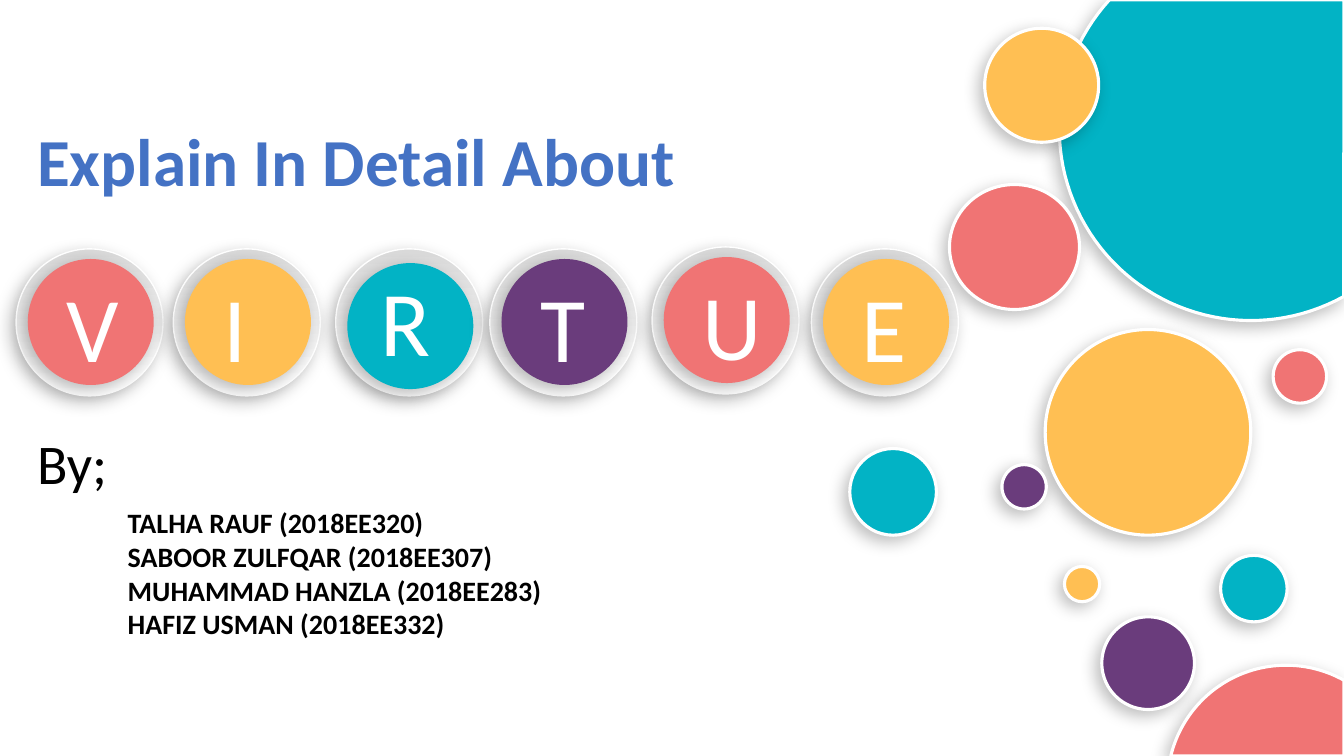
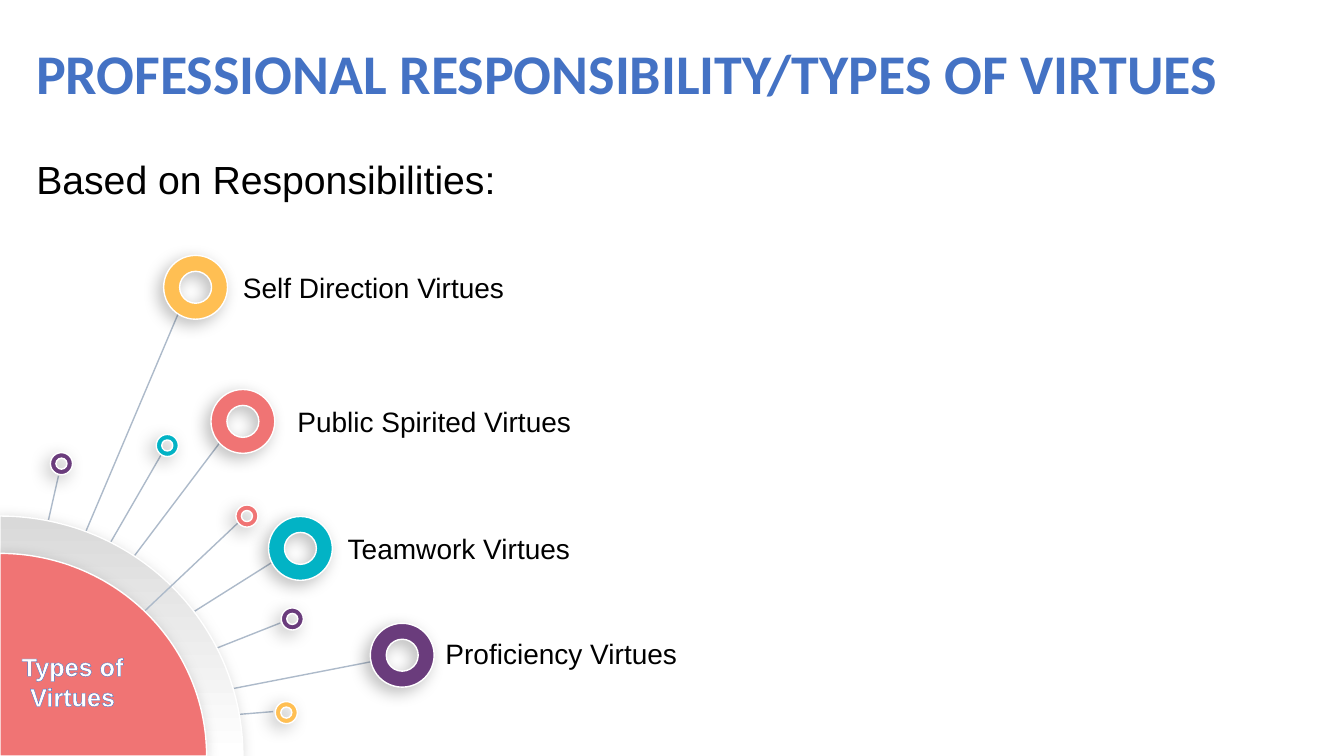
import copy
import math

import lxml.etree
import pptx
import pptx.dml.color
import pptx.enum.shapes
import pptx.enum.text
import pptx.oxml
import pptx.oxml.ns
import pptx.util

Pt = pptx.util.Pt
qn = pptx.oxml.ns.qn
ELLIPSE = pptx.enum.shapes.MSO_SHAPE.OVAL
DONUT = pptx.enum.shapes.MSO_SHAPE.DONUT
STRAIGHT = pptx.enum.shapes.MSO_CONNECTOR.STRAIGHT

WIDTH, HEIGHT = 960, 540
WHITE, BLACK, BLUE, SPOKE = "FFFFFF", "000000", "4472C4", "ADBACA"
AMBER, TEAL, CORAL, PURPLE = "FFBF53", "02B3C5", "F07474", "6A3C7C"
SILVER = (WHITE, "D9D9D9")
TITLE = {"name": "Calibri", "bold": True}
TITLE_COLOURS = ("203864", BLUE, "8FAADC")
SHADOW = (
    '<a:outerShdw xmlns:a="http://schemas.openxmlformats.org/drawingml/2006/main" '
    'blurRad="152400" dist="63500" dir="8100000" algn="tr" rotWithShape="0">'
    '<a:srgbClr val="000000"><a:alpha val="26000"/></a:srgbClr></a:outerShdw>'
)


def paint(fill, colours, angle=90):
    """Fill with one hex colour, or with an even gradient of several."""
    if isinstance(colours, str):
        fill.solid()
        fill.fore_color.rgb = pptx.dml.color.RGBColor.from_string(colours)
        return
    fill.gradient()
    fill.gradient_angle = angle
    first = fill.gradient_stops[0]._gs
    for _ in colours[2:]:
        first.addnext(copy.deepcopy(first))
    for index, stop in enumerate(fill.gradient_stops):
        stop.color.rgb = pptx.dml.color.RGBColor.from_string(colours[index])
        stop.position = index / (len(colours) - 1)


def draw(shapes, outline, box, colours, line_width):
    """Draw a shadowed preset, or a sector (start, end, corner) of the box's ellipse."""
    if isinstance(outline, tuple):
        start, end, corner = outline
        left, top, width, height = box
        points = []
        for step in range(61):
            angle = math.radians(start + (end - start) * step / 60)
            points.append((Pt(left + width / 2 * (1 + math.cos(angle))),
                           Pt(top + height / 2 * (1 + math.sin(angle)))))
        points.append((Pt(corner[0]), Pt(corner[1])))
        builder = shapes.build_freeform(*points[0], scale=1.0)
        builder.add_line_segments(points[1:], close=True)
        shape = builder.convert_to_shape()
    else:
        shape = shapes.add_shape(outline, *map(Pt, box))
    paint(shape.fill, colours)
    if line_width:
        paint(shape.line.fill, WHITE)
        shape.line.width = Pt(line_width)
    else:
        shape.line.fill.background()
    shape.shadow.inherit = False
    effects = shape._element.spPr.find(qn("a:effectLst"))
    effects.append(pptx.oxml.parse_xml(SHADOW))


def write(shapes, box, lines, colours, font, inset=True, paragraph=None):
    """Add a wrapping text box with one paragraph per line; return its frame."""
    frame = shapes.add_textbox(*map(Pt, box)).text_frame
    frame.word_wrap = True
    frame.auto_size = pptx.enum.text.MSO_AUTO_SIZE.SHAPE_TO_FIT_TEXT
    if not inset:
        for side in ("left", "top", "right", "bottom"):
            setattr(frame, "margin_" + side, 0)
    for index, line in enumerate(lines):
        para = frame.add_paragraph() if index else frame.paragraphs[0]
        for key, value in (paragraph or {}).items():
            setattr(para, key, value)
        span = para.add_run()
        span.text = line
        for key, value in font.items():
            setattr(span.font, key, value)
        paint(span.font.fill, colours, angle=270)
    return frame


deck = pptx.Presentation()
deck.slide_width, deck.slide_height = Pt(WIDTH), Pt(HEIGHT)
blank = deck.slide_layouts[6]

# Cover
page = deck.slides.add_slide(blank)
bubbles = [
    (ELLIPSE, (746.6, 235.4, 146.9, 146.9), AMBER),
    ((61, 222.4, (WIDTH, 0)), (756.7, -44.6, 273.6, 273.6), TEAL),
    (ELLIPSE, (678.2, 131.8, 92.9, 89.3), CORAL),
    (ELLIPSE, (787, 440.6, 66.2, 66.2), PURPLE),
    (ELLIPSE, (871.9, 396.7, 47.5, 47.5), TEAL),
    ((193.6, 299.1, (WIDTH, HEIGHT)), (833.9, 475.2, 169.6, 169.6), CORAL),
    (ELLIPSE, (703.4, 20.2, 81.4, 81.4), AMBER),
    (ELLIPSE, (909.4, 249.8, 38.2, 38.2), CORAL),
    (ELLIPSE, (760.3, 404.6, 25.2, 25.2), AMBER),
    (ELLIPSE, (607, 320.4, 61.9, 61.9), TEAL),
    (ELLIPSE, (715.7, 331.9, 31.7, 31.7), PURPLE),
]
for outline, box, colour in bubbles:
    draw(page.shapes, outline, box, colour, 2.25)

# letter, left and top of the badge, disc drop, letter offset, colour
badges = [
    ("V", 11.5, 177.8, 7.2, (28.8, 11.5), CORAL),
    ("I", 123.8, 177.8, 7.2, (28.8, 11.5), AMBER),
    ("R", 239.8, 177.8, 10.1, (25.2, 7.2), TEAL),
    ("T", 349.9, 177.8, 7.2, (28.8, 11.5), PURPLE),
    ("U", 465.8, 176.4, 7.2, (28.8, 11.5), CORAL),
    ("E", 579.6, 177.8, 7.2, (28.8, 11.5), AMBER),
]
for letter, left, top, drop, (across, down), colour in badges:
    badge = page.shapes.add_group_shape()
    draw(badge.shapes, ELLIPSE, (left, top, 105, 105), SILVER, 1)
    draw(badge.shapes, ELLIPSE, (left + 8.3, top + drop, 90, 90), colour, 0)
    write(badge.shapes, (left + across, top + down, 55.4, 87.1), [letter], WHITE,
          {"name": "Calibri", "size": Pt(66)})

write(page.shapes, (19.4, 302.4, 69.1, 55.4), ["By;"], BLACK,
      {"name": "Calibri", "size": Pt(40)})
authors = ["TALHA RAUF (2018EE320)", "SABOOR ZULFQAR (2018EE307)",
           "MUHAMMAD HANZLA (2018EE283)", "HAFIZ USMAN (2018EE332)"]
write(page.shapes, (84.2, 357.8, 349.9, 104.4), authors, BLACK,
      {"name": "Calibri", "size": Pt(20), "bold": True})
write(page.shapes, (19.4, 81.4, 519.1, 65.5), ["Explain In Detail About"],
      TITLE_COLOURS, TITLE | {"size": Pt(48)})

# Types of virtues
page = deck.slides.add_slide(blank)
write(page.shapes, (18.7, 23.8, 914.4, 55.4),
      ["PROFESSIONAL RESPONSIBILITY/TYPES OF VIRTUES"],
      TITLE_COLOURS, TITLE | {"size": Pt(40)})

# ring centre, diameter, colour, start of its spoke
LARGE, SMALL = 45.6, 15.8
rings = [
    ((43.9, 331.2), SMALL, PURPLE, (41.8, 339.8)),
    ((119.5, 318.2), SMALL, TEAL, (115.2, 324.7)),
    ((208.8, 442.1), SMALL, PURPLE, (200.2, 445)),
    ((204.5, 509), SMALL, AMBER, (195.1, 508.3)),
    ((139.7, 205.2), LARGE, AMBER, (128.9, 220.3)),
    ((173.5, 301), LARGE, CORAL, (159.8, 312.5)),
    ((214.6, 391.7), LARGE, TEAL, (196.6, 400.3)),
    ((287.3, 468), LARGE, PURPLE, (267.1, 472.3)),
    ((176.4, 368.6), SMALL, CORAL, (171.4, 372.2)),
]
quarter = (-90, 0, (0, HEIGHT))
for index, (centre, size, colour, start) in enumerate(rings):
    last = index == len(rings) - 1
    if last:
        draw(page.shapes, quarter, (-173.5, 368.6, 347, 342.8), SILVER, 1)
    end = (0, 534) if last else (0, 524.2)
    spoke = page.shapes.add_connector(STRAIGHT, *map(Pt, start + end))
    paint(spoke.line.fill, SPOKE)
    spoke.line.width = Pt(1)
    lxml.etree.SubElement(spoke._element.spPr, qn("a:effectLst"))
draw(page.shapes, quarter, (-147.6, 395.3, 295.2, 289.4), CORAL, 1)
for (x, y), size, colour, start in rings:
    draw(page.shapes, DONUT, (x - size / 2, y - size / 2, size, size), colour, 1)

hub = write(page.shapes, (6.5, 461.5, 90.7, 51.1), ["Types of Virtues"], WHITE,
            {"name": "Arial", "size": Pt(18), "bold": True},
            paragraph={"alignment": pptx.enum.text.PP_ALIGN.CENTER, "space_before": Pt(2)})
text_format = hub.paragraphs[0].runs[0]._r.get_or_add_rPr()
edge = lxml.etree.Element(qn("a:ln"), w=str(Pt(0.8)))
edge_fill = lxml.etree.SubElement(edge, qn("a:solidFill"))
lxml.etree.SubElement(edge_fill, qn("a:srgbClr"), val=BLUE)
text_format.insert(0, edge)

labels = [
    ("Based on Responsibilities:", (25.9, 110.9, 366.5, 33.8), 28),
    ("Self Direction Virtues", (173.5, 193, 263.5, 24.5), 20),
    ("Public Spirited Virtues", (212.4, 288.7, 216.7, 24.5), 20),
    ("Teamwork Virtues", (248.4, 379.4, 213.1, 24.5), 20),
    ("Proficiency Virtues", (318.2, 455, 221, 24.5), 20),
]
for label, box, size in labels:
    write(page.shapes, box, [label], BLACK, {"name": "Arial", "size": Pt(size)},
          inset=False, paragraph={"space_before": Pt(2)})

deck.save("out.pptx")
